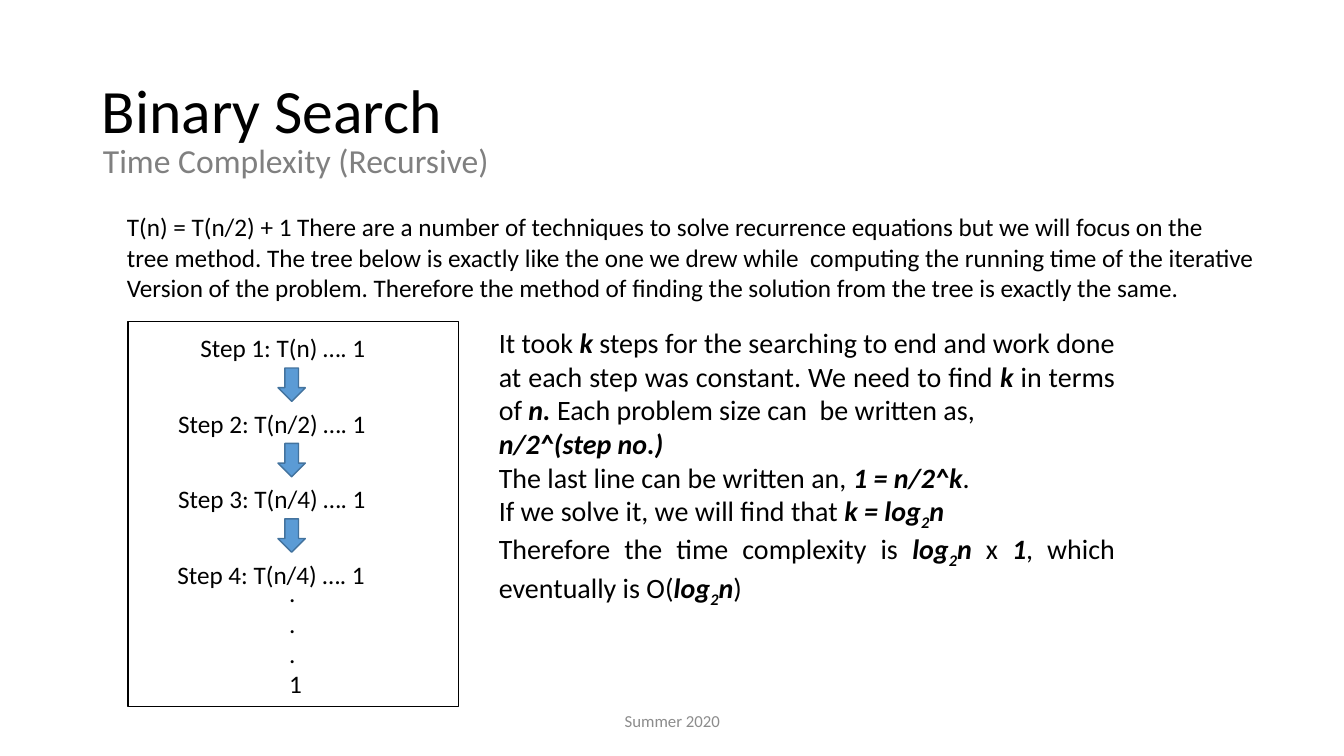
"""Build the slide on the time complexity of recursive binary search."""
import pptx
import pptx.util
import pptx.dml.color
import pptx.enum.shapes
import pptx.enum.text
import pptx.oxml.ns

Cm = pptx.util.Cm
ALIGN = pptx.enum.text.PP_ALIGN
ANCHOR = pptx.enum.text.MSO_ANCHOR
SHAPE = pptx.enum.shapes.MSO_SHAPE

TITLE = "Binary Search"
SUBTITLE = "Time Complexity (Recursive)"
FOOTER = "Summer 2020"
INTRO = [
    "T(n) = T(n/2) + 1 There are a number of techniques to solve recurrence equations but we will focus on the ",
    "tree method. The tree below is exactly like the one we drew while  computing the running time of the iterative",
    "Version of the problem. Therefore the method of finding the solution from the tree is exactly the same.",
]
STEPS = [
    ("Step 1: T(n) …. 1", 4.8),
    ("Step 2: T(n/2) …. 1", 4.24),
    ("Step 3: T(n/4) …. 1", 4.24),
    ("Step 4: T(n/4) …. 1", 4.22),
]
TREE_END = [".", ".", ".", "1"]
BOLD, SUB = "bold", "sub"
SOLUTION = [
    ["It took ", ("k", BOLD),
     " steps for the searching to end and work done at each step was constant. We need to find ",
     ("k", BOLD), " in terms of ", ("n. ", BOLD), "Each problem size can  be written as, "],
    [("n/2^(step no.)", BOLD)],
    ["The last line can be written an, ", ("1 = n/2^k", BOLD), "."],
    ["If we solve it, we will find that ", ("k = log", BOLD), ("2", SUB), ("n", BOLD)],
    ["Therefore the time complexity is ", ("log", BOLD), ("2", SUB), ("n ", BOLD), "x ", ("1", BOLD),
     ", which eventually is O(", ("log", BOLD), ("2", SUB), ("n", BOLD), ")"],
]
STEP_TOP, STEP_PITCH, ARROW_DROP = 8.26, 1.9, 1.09


def rgb(color):
    return pptx.dml.color.RGBColor.from_string(color)


def write(sp, paragraphs, size=18, color="000000", align=ALIGN.LEFT,
          anchor=ANCHOR.TOP, wrap=True, spacing=None):
    tf = sp.text_frame
    tf.auto_size = pptx.enum.text.MSO_AUTO_SIZE.NONE
    tf.word_wrap = wrap
    tf.vertical_anchor = anchor
    for i, runs in enumerate(paragraphs):
        p = tf.add_paragraph() if i else tf.paragraphs[0]
        p.alignment = align
        p.space_before = pptx.util.Pt(0)
        if spacing:
            p.line_spacing = spacing
        for run in [runs] if isinstance(runs, str) else runs:
            text, style = (run, None) if isinstance(run, str) else run
            r = p.add_run()
            r.text = text
            r.font.name = "Calibri"
            r.font.size = pptx.util.Pt(size)
            r.font.color.rgb = rgb(color)
            if style:
                r.font.bold = r.font.italic = True
            if style == SUB:
                r.font._element.set("baseline", "-25000")


def place(sp, left, top, width, height):
    sp.left, sp.top, sp.width, sp.height = Cm(left), Cm(top), Cm(width), Cm(height)
    return sp


def add_text(s, box, paragraphs, **fmt):
    write(s.shapes.add_textbox(*map(Cm, box)), paragraphs, **fmt)


def add_outline(s, kind, box, line, fill=None):
    sp = s.shapes.add_shape(kind, *map(Cm, box))
    sp.shadow.inherit = False
    if fill:
        sp.fill.solid()
        sp.fill.fore_color.rgb = rgb(fill)
    else:
        sp.fill.background()
    sp.line.color.rgb = rgb(line)
    sp.line.width = pptx.util.Pt(1)
    return sp


def main():
    prs = pptx.Presentation()
    prs.slide_width, prs.slide_height = Cm(33.87), Cm(19.05)
    s = prs.slides.add_slide(prs.slide_layouts[1])

    write(place(s.shapes.title, 2.31, 1.9, 14, 2.21), [TITLE], size=44, spacing=0.9)
    body = place(s.placeholders[1], 2.34, 3.51, 12.73, 1.57)
    write(body, [SUBTITLE], size=24, color="808080", spacing=0.9)
    pPr = body.text_frame.paragraphs[0]._p.get_or_add_pPr()
    pPr.set("marL", "0")
    pPr.set("indent", "0")
    pPr.append(pptx.oxml.parse_xml("<a:buNone %s/>" % pptx.oxml.ns.nsdecls("a")))

    add_text(s, (11.23, 17.65, 11.43, 1.02), [FOOTER], size=12, color="8C8C8C",
             align=ALIGN.CENTER, anchor=ANCHOR.MIDDLE)
    add_text(s, (2.95, 5.21, 29.29, 2.57), INTRO, align=ALIGN.JUSTIFY)

    for i, (step, left) in enumerate(STEPS):
        top = STEP_TOP + i * STEP_PITCH
        add_text(s, (left, top, 5.31, 1.02), [step], wrap=False)
        if i < len(STEPS) - 1:
            arrow = add_outline(s, SHAPE.RIGHT_ARROW, (6.93, top + ARROW_DROP, 0.84, 0.69),
                                "43739E", fill="5B9BD5")
            arrow.rotation = 90
    add_text(s, (7.04, 14.43, 0.84, 3.33), TREE_END, wrap=False)
    add_outline(s, SHAPE.RECTANGLE, (3.23, 8.1, 8.33, 9.7), "000000")

    add_text(s, (12.32, 8.08, 16.03, 7.95), SOLUTION, size=20, align=ALIGN.JUSTIFY)
    prs.save("out.pptx")


if __name__ == "__main__":
    main()
